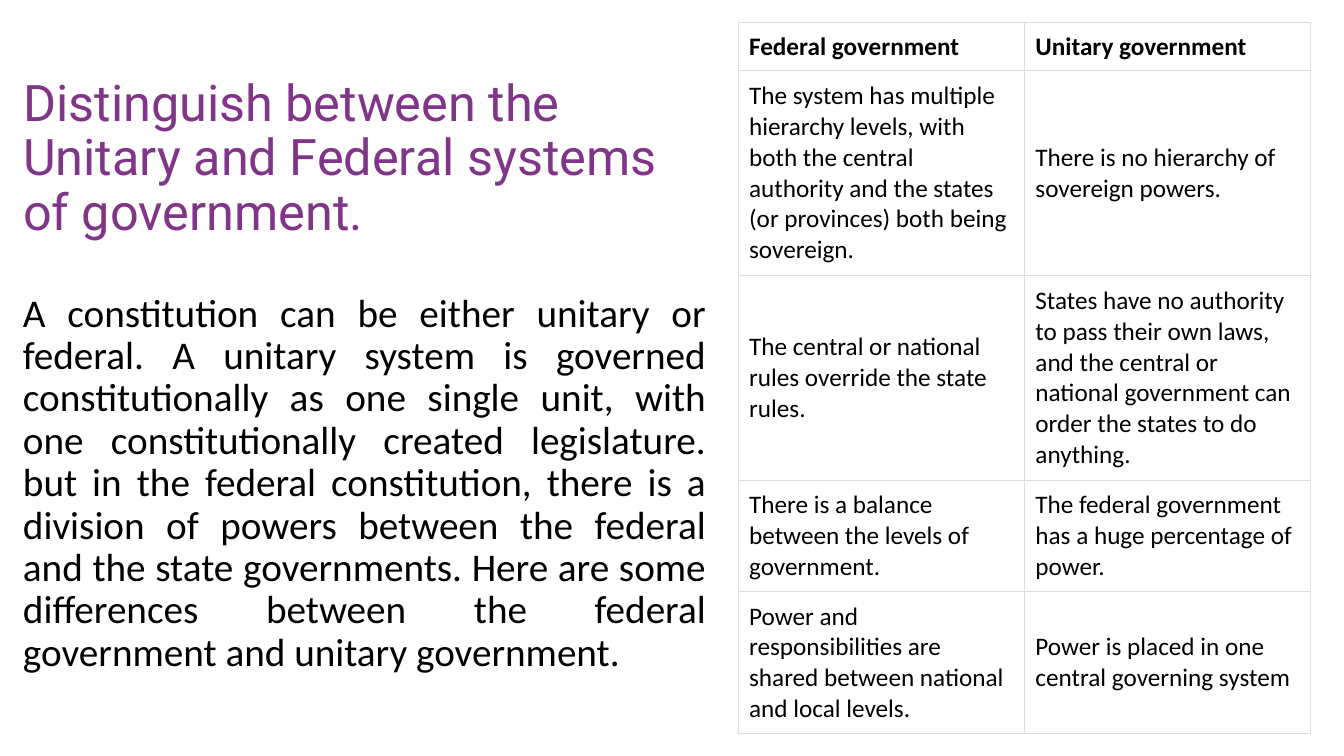
from lxml import etree
from pptx import Presentation, util as u
from pptx.dml.color import RGBColor
from pptx.enum import text
from pptx.oxml import ns

PURPLE = RGBColor(0x81, 0x35, 0x89)
BLACK = RGBColor(0, 0, 0)
WHITE = RGBColor(0xFF, 0xFF, 0xFF)
BORDER = RGBColor(0xDD, 0xDD, 0xDD)

HEADING = "Distinguish between the Unitary and Federal systems of government."
EXPLANATION = (
    "A constitution can be either unitary or federal. A unitary system is governed "
    "constitutionally as one single unit, with one constitutionally created legislature. "
    "but in the federal constitution, there is a division of powers between the federal "
    "and the state governments. Here are some differences between the federal government "
    "and unitary government."
)
COMPARISON = [
    ("Federal government", "Unitary government"),
    ("The system has multiple hierarchy levels, with both the central authority and the "
     "states (or provinces) both being sovereign.",
     "There is no hierarchy of sovereign powers."),
    ("The central or national rules override the state rules.",
     "States have no authority to pass their own laws, and the central or national "
     "government can order the states to do anything."),
    ("There is a balance between the levels of government.",
     "The federal government has a huge percentage of power."),
    ("Power and responsibilities are shared between national and local levels.",
     "Power is placed in one central governing system"),
]
ROW_HEIGHTS = (0.48, 2.03, 2.03, 1.1, 1.41)

HEADING_FONT = {"name": "Roboto", "size": u.Pt(36), "bold": False}
BODY_FONT = {"name": "Calibri", "size": u.Pt(28), "bold": False}
CELL_FONT = {"name": "Calibri", "size": u.Pt(18)}
FRAME_FORMAT = {"word_wrap": True, "auto_size": text.MSO_AUTO_SIZE.NONE,
                "vertical_anchor": text.MSO_ANCHOR.TOP}
CELL_FORMAT = {"margin_left": u.Inches(0.11), "margin_right": u.Inches(0.11),
               "margin_top": u.Inches(0.08), "margin_bottom": u.Inches(0.08),
               "vertical_anchor": text.MSO_ANCHOR.MIDDLE}


def apply(target, values):
    """Set each named attribute of the target."""
    for name, value in values.items():
        setattr(target, name, value)


def write(frame, words, font, colour, para_format):
    """Fill a text frame with one formatted paragraph."""
    para = frame.paragraphs[0]
    apply(para, para_format)
    span = para.add_run()
    span.text = words
    apply(span.font, font)
    span.font.color.rgb = colour


def add_border(cell):
    """Draw a thin line on all four sides of a cell."""
    properties = cell._tc.get_or_add_tcPr()
    for index, side in enumerate(("lnL", "lnR", "lnT", "lnB")):
        line = etree.Element(ns.qn(f"a:{side}"), w=str(u.Pt(0.75)))
        fill = etree.SubElement(line, ns.qn("a:solidFill"))
        etree.SubElement(fill, ns.qn("a:srgbClr"), val=str(BORDER))
        properties.insert(index, line)


def place_explanation(page, left, top, width, height):
    """Place the heading above the justified explanation."""
    heading_height = height * 0.35
    heading = page.shapes.title
    apply(heading, {"left": u.Inches(left), "top": u.Inches(top),
                    "width": u.Inches(width), "height": u.Inches(heading_height)})
    body = page.shapes.add_textbox(u.Inches(left), u.Inches(top + heading_height),
                                   u.Inches(width), u.Inches(height - heading_height))
    for box, words, font, colour, alignment in (
            (heading, HEADING, HEADING_FONT, PURPLE, text.PP_ALIGN.LEFT),
            (body, EXPLANATION, BODY_FONT, BLACK, text.PP_ALIGN.JUSTIFY)):
        apply(box.text_frame, FRAME_FORMAT)
        write(box.text_frame, words, font, colour,
              {"alignment": alignment, "line_spacing": 0.9})


def place_comparison(page, left, top, width, height):
    """Place the table that compares the two systems."""
    table = page.shapes.add_table(len(COMPARISON), 2, u.Inches(left), u.Inches(top),
                                  u.Inches(width), u.Inches(height)).table
    apply(table, {"first_row": False, "horz_banding": False})
    for row, row_height in zip(table.rows, ROW_HEIGHTS):
        row.height = u.Inches(height * row_height / sum(ROW_HEIGHTS))
    for row_index, entries in enumerate(COMPARISON):
        for column_index, words in enumerate(entries):
            cell = table.cell(row_index, column_index)
            apply(cell, CELL_FORMAT)
            cell.fill.solid()
            cell.fill.fore_color.rgb = WHITE
            add_border(cell)
            write(cell.text_frame, words, {**CELL_FONT, "bold": row_index == 0}, BLACK,
                  {"alignment": text.PP_ALIGN.LEFT})


def main():
    """Build and save the slide."""
    deck = Presentation()
    apply(deck, {"slide_width": u.Inches(13.33), "slide_height": u.Inches(7.5)})
    page = deck.slides.add_slide(deck.slide_layouts.get_by_name("Title Only"))
    place_explanation(page, 0.13, 0.72, 6.97, 6.12)
    place_comparison(page, 7.32, 0.22, 5.68, 7.06)
    deck.save("out.pptx")


if __name__ == "__main__":
    main()
